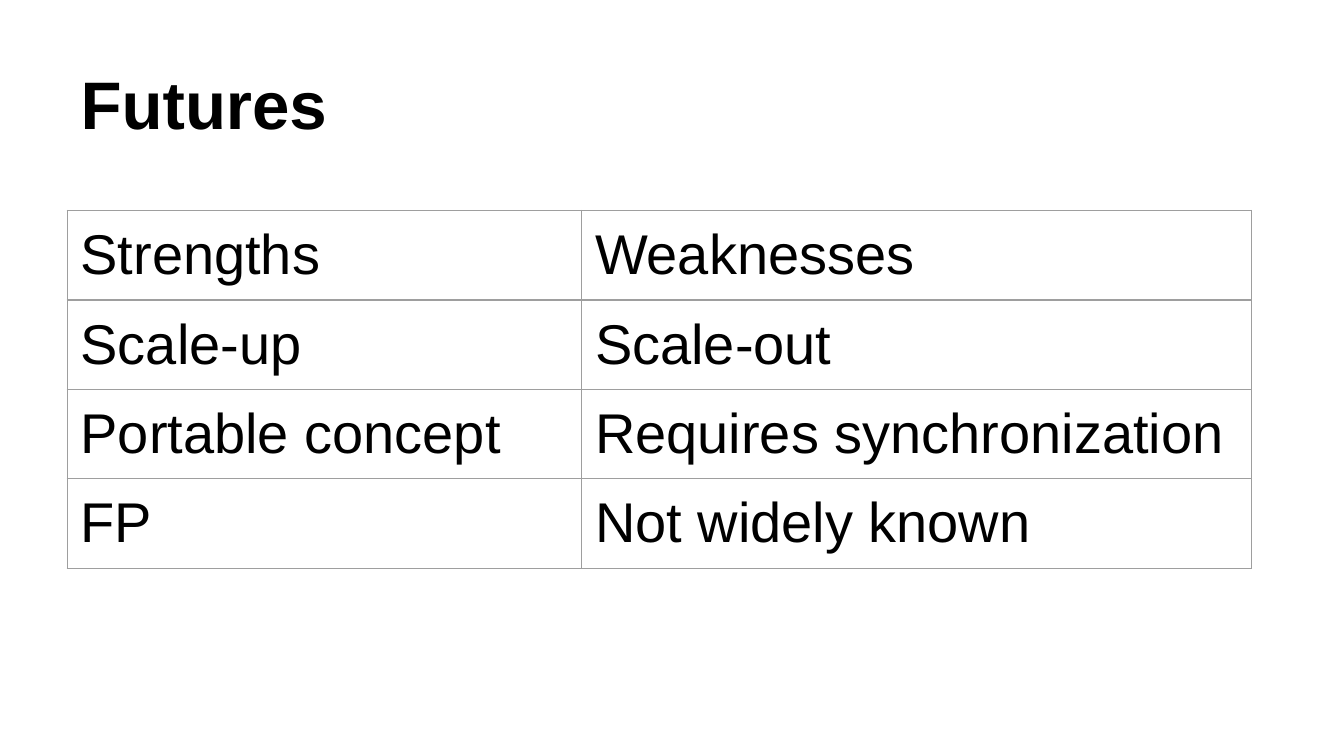
from dataclasses import dataclass

import lxml.etree
import pptx
import pptx.dml.color
import pptx.enum.text
import pptx.oxml.ns
import pptx.util

Pt = pptx.util.Pt
FONT = "Arial"
BLACK = "000000"
WHITE = "FFFFFF"
GRID = "9E9E9E"
INSET = 7.2
LEFT = 36
COLUMN_WIDTHS = (275.6, 358.8)
ROW_HEIGHT = 47.9


@dataclass
class Comparison:
    strength: str
    weakness: str


COMPARISONS = [
    Comparison("Strengths", "Weaknesses"),
    Comparison("Scale-up", "Scale-out"),
    Comparison("Portable concept", "Requires synchronization"),
    Comparison("FP", "Not widely known"),
]


def color(value: str) -> pptx.dml.color.RGBColor:
    return pptx.dml.color.RGBColor.from_string(value)


def format_paragraph(paragraph, size: float, bold: bool = False) -> None:
    paragraph.alignment = pptx.enum.text.PP_ALIGN.LEFT
    paragraph.font.name = FONT
    paragraph.font.size = Pt(size)
    paragraph.font.bold = bold
    paragraph.font.color.rgb = color(BLACK)


def set_insets(frame) -> None:
    """Works for both text frames and table cells."""
    frame.margin_left = frame.margin_right = Pt(INSET)
    frame.margin_top = frame.margin_bottom = Pt(INSET)


def add_borders(cell, line_color: str, width: float) -> None:
    properties = cell._tc.get_or_add_tcPr()
    for index, side in enumerate(("a:lnL", "a:lnR", "a:lnT", "a:lnB")):
        line = lxml.etree.Element(pptx.oxml.ns.qn(side), w=str(Pt(width)))
        fill = lxml.etree.SubElement(line, pptx.oxml.ns.qn("a:solidFill"))
        lxml.etree.SubElement(fill, pptx.oxml.ns.qn("a:srgbClr"), val=line_color)
        properties.insert(index, line)


def fill_cell(cell, text: str) -> None:
    cell.text = text
    set_insets(cell)
    cell.vertical_anchor = pptx.enum.text.MSO_ANCHOR.TOP
    format_paragraph(cell.text_frame.paragraphs[0], 30)
    cell.fill.background()
    add_borders(cell, GRID, 0.75)


def add_title(slide, text: str) -> None:
    title = slide.shapes.title
    title.left, title.top = Pt(LEFT), Pt(16.2)
    title.width, title.height = Pt(648), Pt(67.5)
    frame = title.text_frame
    frame.text = text
    frame.word_wrap = True
    frame.auto_size = pptx.enum.text.MSO_AUTO_SIZE.NONE
    frame.vertical_anchor = pptx.enum.text.MSO_ANCHOR.BOTTOM
    set_insets(frame)
    format_paragraph(frame.paragraphs[0], 36, bold=True)


def add_comparison_table(slide, comparisons: list[Comparison]) -> None:
    table = slide.shapes.add_table(
        len(comparisons), len(COLUMN_WIDTHS), Pt(LEFT), Pt(112.8),
        Pt(sum(COLUMN_WIDTHS)), Pt(ROW_HEIGHT * len(comparisons)),
    ).table
    table.first_row = False
    table.horz_banding = False
    for column, width in zip(table.columns, COLUMN_WIDTHS):
        column.width = Pt(width)
    for row, comparison in zip(table.rows, comparisons):
        row.height = Pt(ROW_HEIGHT)
        fill_cell(row.cells[0], comparison.strength)
        fill_cell(row.cells[1], comparison.weakness)


def main() -> None:
    presentation = pptx.Presentation()
    presentation.slide_width, presentation.slide_height = Pt(720), Pt(405)

    # Title-only slide on white
    slide = presentation.slides.add_slide(presentation.slide_layouts[5])
    slide.background.fill.solid()
    slide.background.fill.fore_color.rgb = color(WHITE)

    # Title and table
    add_title(slide, "Futures")
    add_comparison_table(slide, COMPARISONS)

    presentation.save("out.pptx")


if __name__ == "__main__":
    main()
